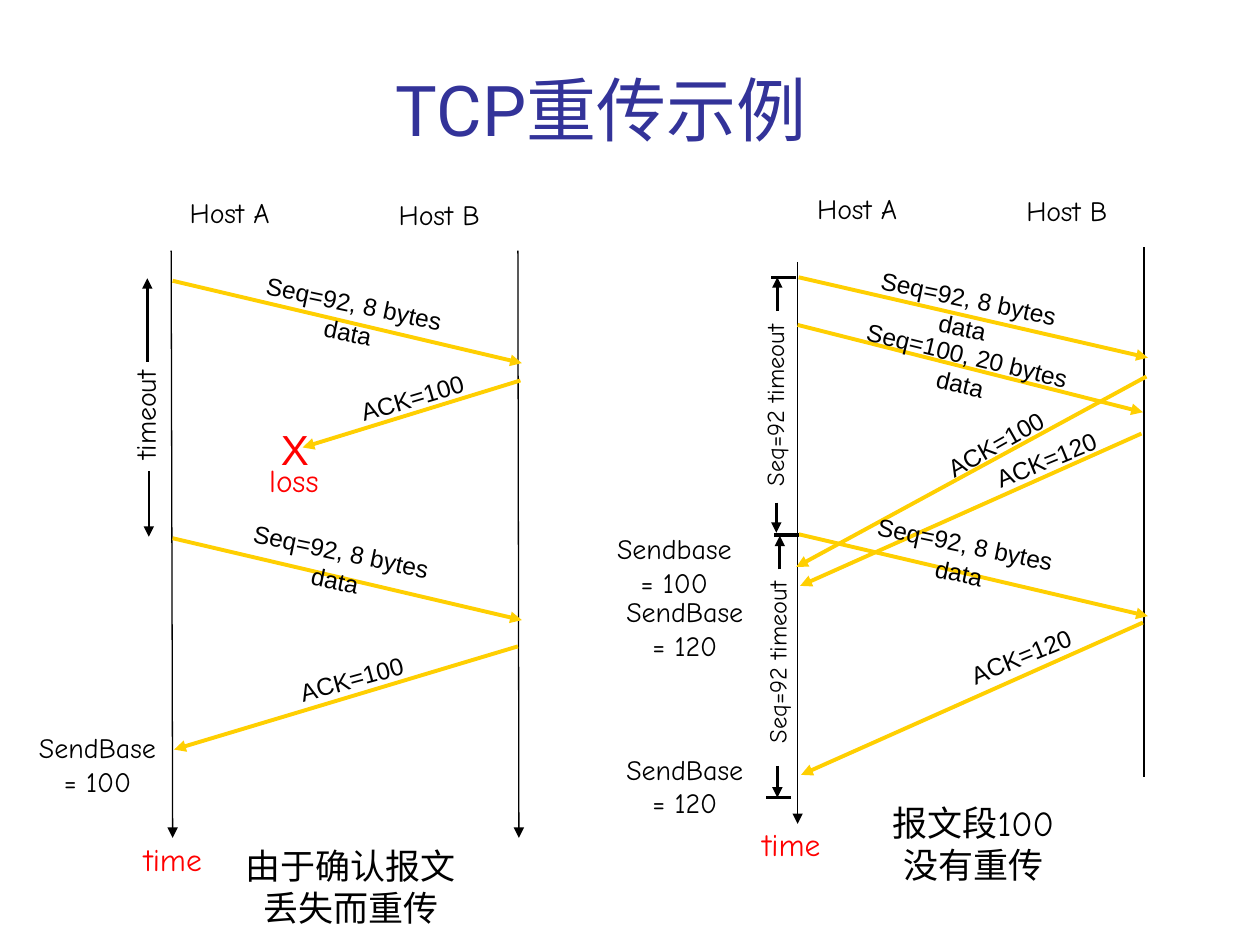
from pptx import Presentation
from pptx.dml.color import RGBColor
from pptx.enum.shapes import MSO_CONNECTOR, MSO_SHAPE
from pptx.enum.text import MSO_ANCHOR, MSO_AUTO_SIZE, PP_ALIGN
from pptx.oxml.ns import qn
from pptx.util import Cm, Pt
from lxml import etree

STRAIGHT = MSO_CONNECTOR.STRAIGHT
RECTANGLE = MSO_SHAPE.RECTANGLE
BOTTOM, TOP = MSO_ANCHOR.BOTTOM, MSO_ANCHOR.TOP
NO_FIT = MSO_AUTO_SIZE.NONE
CENTER = PP_ALIGN.CENTER

BLACK = RGBColor(0x00, 0x00, 0x00)
WHITE = RGBColor(0xFF, 0xFF, 0xFF)
RED = RGBColor(0xFF, 0x00, 0x00)
YELLOW = RGBColor(0xFF, 0xCF, 0x01)
BLUE = RGBColor(0x33, 0x33, 0x99)

TITLE_FONT, HAND_FONT, LABEL_FONT = "Roboto", "Comic Neue", "Arial"

# Lines: start x, start y, end x, end y in cm
MESSAGES = [
    # Lost acknowledgement
    (10.49, 7.67, 6.1, 9.02),
    (3.48, 5.66, 10.52, 7.32),
    (3.48, 10.85, 10.52, 12.5),
    (10.44, 13.03, 3.51, 15.11),
    # Segment 100 not resent
    (23.01, 8.74, 16.13, 11.81),
    (23.11, 7.59, 16.05, 11.43),
    (16.1, 5.59, 23.14, 7.21),
    (16.1, 10.77, 23.14, 12.42),
    (16.08, 6.55, 23.04, 8.31),
    (23.04, 12.55, 16.15, 15.62),
]
TIMELINES = [
    (3.45, 5.05, 3.48, 16.89, True),
    (10.44, 5.05, 10.46, 16.89, True),
    (16.08, 5.28, 16.08, 16.61, True),
    (23.06, 4.98, 23.06, 15.67, False),
]
# Timeout arrows: x, start y, end y; ticks: left, y
TIMEOUT_ARROWS = [
    (2.97, 7.29, 5.61), (3, 9.5, 10.82),
    (15.67, 6.27, 5.59), (15.65, 10.13, 10.74),
    (15.72, 11.48, 10.8), (15.67, 15.44, 16.08),
]
TICKS = [(15.54, 5.59), (15.6, 10.77), (15.6, 10.8), (15.44, 16.08)]
TICK_WIDTH = 0.51

# White panels behind labels: left, top, width, height
PANELS = [
    (15.42, 6.32, 0.56, 3.66),
    (15.47, 11.51, 0.56, 3.66),
    (15.19, 16.71, 1.42, 0.69),
]

# Message labels: text, left, top, width, rotation
MESSAGE_LABELS = [
    ("Seq=100, 20 bytes data", 16.64, 6.73, 5.72, 13.5),
    ("Seq=92, 8 bytes data", 16.87, 10.54, 5.18, 11.8),
    ("Seq=92, 8 bytes data", 16.94, 5.59, 5.18, 11.8),
    ("Seq=92, 8 bytes data", 4.55, 5.69, 5.18, 11.8),
    ("Seq=92, 8 bytes data", 4.29, 10.69, 5.18, 11.8),
    ("ACK=100", 18.67, 8.53, 2.8, 330.5),
    ("ACK=120", 19.69, 8.84, 2.8, 337.7),
    ("ACK=120", 19.18, 12.8, 2.8, 337.7),
    ("ACK=100", 6.91, 7.59, 2.8, 343.6),
    ("ACK=100", 5.69, 13.26, 2.8, 344.6),
]
# Plain labels: paragraphs, left, top, width, size, colour
PLAIN_LABELS = [
    (["Host A"], 3.45, 3.81, 2.36, 16, BLACK),
    (["Host B"], 7.7, 3.86, 2.31, 16, BLACK),
    (["Host A"], 16.1, 3.73, 2.36, 16, BLACK),
    (["Host B"], 20.35, 3.78, 2.31, 16, BLACK),
    (["time"], 2.57, 16.81, 1.83, 18, RED),
    (["time"], 15.04, 16.51, 1.83, 18, RED),
    (["loss"], 5.11, 9.17, 1.63, 18, RED),
    (["由于确认报文", "丢失而重传"], 4.67, 16.89, 4.8, 20, BLACK),
    (["报文段100", "没有重传"], 17.7, 16.03, 3.84, 20, BLACK),
    (["SendBase", "= 100"], 0.43, 14.61, 3.07, 16, BLACK),
    (["Sendbase", "= 100"], 12.07, 10.59, 3.05, 16, BLACK),
    (["SendBase", "= 120"], 12.27, 11.86, 3.07, 16, BLACK),
    (["SendBase", "= 120"], 12.27, 15.04, 3.07, 16, BLACK),
]
# Upright timeout labels: text, left, top, width, size
TIMEOUT_LABELS = [
    ("timeout", 1.65, 7.9, 2.54, 16),
    ("Seq=92 timeout", 13.54, 7.75, 4.14, 14),
    ("Seq=92 timeout", 13.59, 12.93, 4.14, 14),
]


def write(para, text, size, font, color):
    para.alignment = CENTER
    span = para.add_run()
    span.text = text
    span.font.size = Pt(size)
    span.font.name = font
    span.font.color.rgb = color


def add_title(page, text):
    title = page.shapes.title
    title.left, title.top = Cm(1.32), Cm(0.66)
    title.width, title.height = Cm(21.59), Cm(2.51)
    title.text_frame.vertical_anchor = BOTTOM
    title.text_frame.auto_size = NO_FIT
    write(title.text_frame.paragraphs[0], text, 40, TITLE_FONT, BLUE)


def add_label(page, lines, left, top, width, size,
              color=BLACK, font=HAND_FONT, rotation=0):
    # Line height plus the default margins above and below
    height = 0.25 + 0.0425 * size * len(lines)
    box = page.shapes.add_textbox(Cm(left), Cm(top), Cm(width), Cm(height))
    box.rotation = rotation
    frame = box.text_frame
    frame.word_wrap = True
    frame.auto_size = NO_FIT
    frame.vertical_anchor = TOP
    for index, text in enumerate(lines):
        para = frame.add_paragraph() if index else frame.paragraphs[0]
        write(para, text, size, font, color)


def add_line(page, x1, y1, x2, y2, color, width, arrow=True):
    line = page.shapes.add_connector(STRAIGHT, Cm(x1), Cm(y1), Cm(x2), Cm(y2))
    line.line.color.rgb = color
    line.line.width = Pt(width)
    if arrow:
        outline = line.line._get_or_add_ln()
        etree.SubElement(outline, qn("a:tailEnd"), type="triangle")
    etree.SubElement(line._element.spPr, qn("a:effectLst"))


def add_panel(page, left, top, width, height):
    panel = page.shapes.add_shape(RECTANGLE, Cm(left), Cm(top), Cm(width), Cm(height))
    panel.shadow.inherit = False
    panel.fill.solid()
    panel.fill.fore_color.rgb = WHITE
    panel.line.fill.background()


def main():
    deck = Presentation()
    deck.slide_width, deck.slide_height = Cm(25.4), Cm(19.05)
    page = deck.slides.add_slide(deck.slide_layouts[5])
    add_title(page, "TCP重传示例")

    # Panels, timelines and messages
    for panel in PANELS:
        add_panel(page, *panel)
    for x1, y1, x2, y2, arrow in TIMELINES:
        add_line(page, x1, y1, x2, y2, BLACK, 0.75, arrow)
    for message in MESSAGES:
        add_line(page, *message, YELLOW, 2.25)

    # Timeout spans
    for x, start, end in TIMEOUT_ARROWS:
        add_line(page, x, start, x, end, BLACK, 1.5)
    for left, y in TICKS:
        add_line(page, left + TICK_WIDTH, y, left, y, BLACK, 1.5, False)

    # Labels
    for text, left, top, width, rotation in MESSAGE_LABELS:
        add_label(page, [text], left, top, width, 14,
                  font=LABEL_FONT, rotation=rotation)
    for label in PLAIN_LABELS:
        add_label(page, *label)
    for text, left, top, width, size in TIMEOUT_LABELS:
        add_label(page, [text], left, top, width, size, rotation=270)
    add_label(page, ["X"], 5.41, 8.41, 1.07, 24, RED, LABEL_FONT)

    deck.save("out.pptx")


if __name__ == "__main__":
    main()
